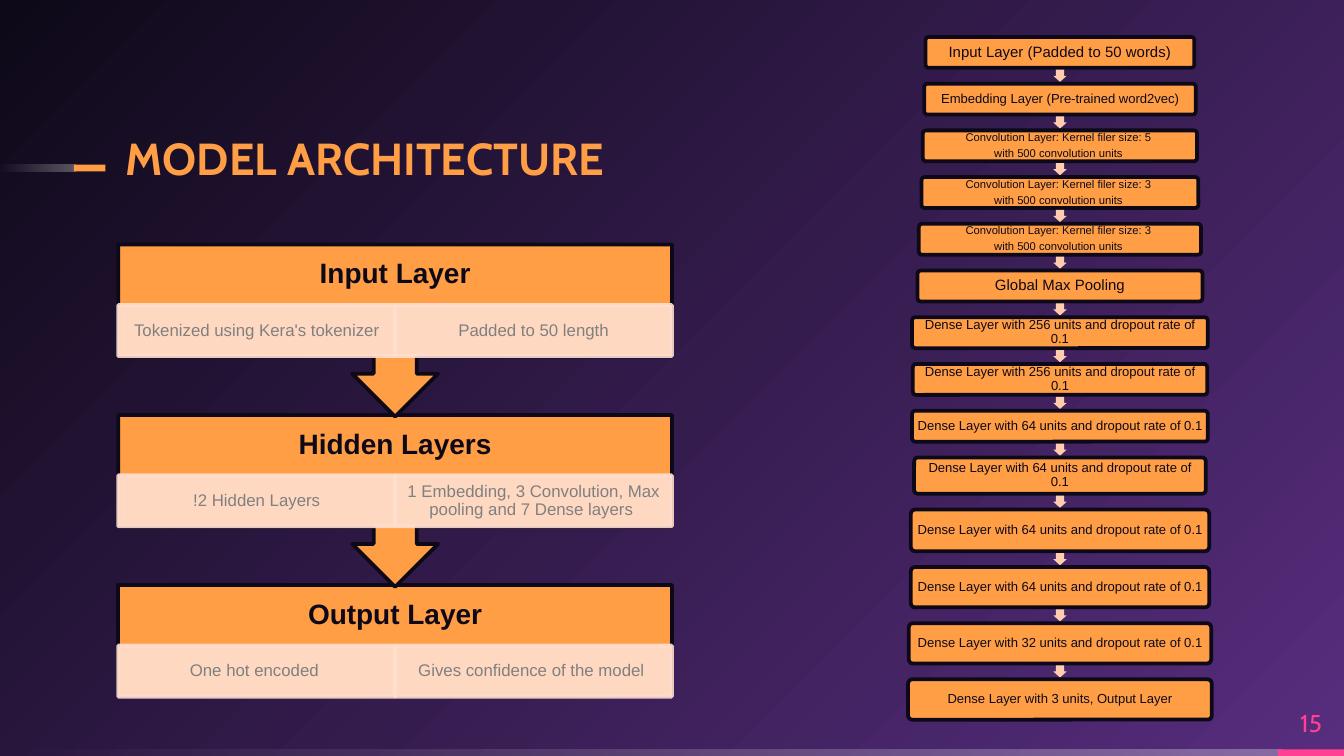
from dataclasses import dataclass
from typing import NamedTuple, Optional

from lxml.etree import SubElement
from pptx import Presentation
from pptx.dml.color import RGBColor
from pptx.enum.shapes import MSO_SHAPE as Preset
from pptx.enum.text import MSO_ANCHOR as Anchor, PP_ALIGN as Align
from pptx.oxml.ns import qn
from pptx.util import Inches, Pt

COLUMNS, ROWS = 100, 56.25
CELL = Inches(0.1)


@dataclass(frozen=True)
class Theme:
    orange: str = "FF9E44"
    peach: str = "FFCCB0"
    cream: str = "FFDFCF"
    ink: str = "0E0918"
    purple: str = "572D7E"
    pink: str = "FF4093"
    gray: str = "808080"
    white: str = "FFFFFF"
    heading_font: str = "Cabin"
    body_font: str = "Arial"
    title_size: int = 24
    number_size: int = 13
    stage_size: int = 15
    detail_size: int = 9
    large_size: int = 8
    medium_size: int = 7
    small_size: int = 6
    outline: int = 2


THEME = Theme()


class Box(NamedTuple):
    left: float
    top: float
    width: float
    height: float

    def emu(self) -> list[int]:
        return [round(cells * CELL) for cells in self]


class Style(NamedTuple):
    size: int
    color: str
    font: str = THEME.body_font
    bold: bool = False
    align: Align = Align.CENTER
    anchor: Anchor = Anchor.MIDDLE
    inset: tuple[float, float] = (0, 0)
    space_after: float = 0.35


class Stage(NamedTuple):
    name: str
    details: tuple[str, str]
    preset: Preset
    height: float


class Layer(NamedTuple):
    text: str
    size: int
    width: float
    height: float = 2.3


def set_alpha(fill, percent: int) -> None:
    for color in fill.iter(qn("a:srgbClr")):
        SubElement(color, qn("a:alpha")).set("val", str(percent * 1000))


def set_gradient(fill, colors: tuple[str, str]) -> None:
    fill.gradient()
    for stop, color, position in zip(fill.gradient_stops, colors, (0, 1)):
        stop.color.rgb = RGBColor.from_string(color)
        stop.position = position


def write(shape, text: str, style: Style) -> None:
    frame = shape.text_frame
    frame.text = text
    frame.word_wrap = True
    frame.vertical_anchor = style.anchor
    frame.margin_left = frame.margin_right = Inches(style.inset[0])
    frame.margin_top = frame.margin_bottom = Inches(style.inset[1])
    for paragraph in frame.paragraphs:
        paragraph.alignment = style.align
        paragraph.line_spacing = 0.9
        paragraph.space_after = Pt(style.space_after * style.size)
        for run in paragraph.runs:
            run.font.size = Pt(style.size)
            run.font.name = style.font
            run.font.bold = style.bold
            run.font.color.rgb = RGBColor.from_string(style.color)


def add_label(slide, box: Box, text: str, style: Style) -> None:
    write(slide.shapes.add_textbox(*box.emu()), text, style)


def add_block(slide, preset: Preset, box: Box, fill: str,
              outline: Optional[str] = None, opacity: int = 100):
    block = slide.shapes.add_shape(preset, *box.emu())
    block.shadow.inherit = False
    block.fill.solid()
    block.fill.fore_color.rgb = RGBColor.from_string(fill)
    if outline:
        block.line.color.rgb = RGBColor.from_string(outline)
        block.line.width = Pt(THEME.outline)
    else:
        block.line.fill.background()
    if opacity < 100:
        set_alpha(block.element.spPr, opacity)
    return block


def add_fading_bar(slide, box: Box) -> None:
    bar = add_block(slide, Preset.RECTANGLE, box, THEME.white)
    set_gradient(bar.fill, (THEME.white, THEME.white))
    bar.fill.gradient_angle = 180
    for color, percent in zip(bar.element.spPr.iter(qn("a:gs")), (30, 0)):
        set_alpha(color, percent)


def paint_background(slide) -> None:
    set_gradient(slide.background.fill, (THEME.purple, THEME.ink))
    gradient = next(slide.element.iter(qn("a:gradFill")))
    for direction in gradient.findall(qn("a:lin")):
        gradient.remove(direction)
    glow = SubElement(gradient, qn("a:path"))
    glow.set("path", "circle")
    corner = SubElement(glow, qn("a:fillToRect"))
    corner.set("l", "100000")
    corner.set("t", "100000")


def draw_frame(slide) -> None:
    paint_background(slide)
    accent = Box(95.1, 55.75, 4.9, 0.5)
    add_fading_bar(slide, Box(0, accent.top, 95.4, accent.height))
    add_block(slide, Preset.RECTANGLE, accent, THEME.pink)
    add_fading_bar(slide, Box(0, 12.25, 5.6, 0.5))
    add_block(slide, Preset.RECTANGLE, Box(5.5, 12.25, 2.35, 0.5), THEME.orange)
    add_label(slide, Box(9.36, 9.5, 47.6, 4.3), "MODEL ARCHITECTURE",
              Style(THEME.title_size, THEME.orange, THEME.heading_font, True,
                    Align.LEFT, Anchor.BOTTOM, space_after=0))
    add_label(slide, Box(accent.left, 52, accent.width, 3.8), "15",
              Style(THEME.number_size, THEME.pink, THEME.heading_font, space_after=0))


def draw_stages(slide, stages: list[Stage]) -> None:
    left, top, width, pitch = 8.8, 18.2, 41.2, 12.67
    name_height, detail_height = 4.5, 3.8
    name_style = Style(THEME.stage_size, THEME.ink, bold=True, inset=(0.12, 0.12))
    detail_style = Style(THEME.detail_size, THEME.gray, inset=(0.07, 0.01))
    for index, stage in reversed(list(enumerate(stages))):
        stage_top = top + index * pitch
        body = add_block(slide, stage.preset, Box(left, stage_top, width, stage.height),
                         THEME.orange, THEME.ink)
        if stage.preset == Preset.UP_ARROW_CALLOUT:
            body.rotation = 180
        add_label(slide, Box(left, stage_top, width, name_height), stage.name, name_style)
        for column, detail in enumerate(stage.details):
            half = width / len(stage.details)
            cell = Box(left + column * half, stage_top + name_height, half, detail_height)
            write(add_block(slide, Preset.RECTANGLE, cell, THEME.cream, THEME.cream, 90),
                  detail, detail_style)


def draw_layers(slide, layers: list[Layer]) -> None:
    center, top, bottom = 78.87, 2.75, 53.55
    arrow_length, arrow_breadth = 0.9, 1.0
    gap = (bottom - top - sum(layer.height for layer in layers)) / (len(layers) - 1)
    for index, layer in enumerate(layers):
        if index:
            arrow = add_block(slide, Preset.RIGHT_ARROW,
                              Box(center - arrow_length / 2, top - (gap + arrow_breadth) / 2,
                                  arrow_length, arrow_breadth), THEME.peach)
            arrow.rotation = 90
            arrow.adjustments[0] = 0.6
        block = add_block(slide, Preset.ROUNDED_RECTANGLE,
                          Box(center - layer.width / 2, top, layer.width, layer.height),
                          THEME.orange, THEME.ink)
        block.adjustments[0] = 0.1
        write(block, layer.text, Style(layer.size, THEME.ink, inset=(0.03, 0.03)))
        top += layer.height + gap


def convolution(kernel: int, width: float) -> Layer:
    return Layer(f"Convolution Layer: Kernel filer size: {kernel} \nwith 500 convolution units ",
                 THEME.small_size, width)


def dense(units: int, width: float, height: float = 2.3) -> Layer:
    return Layer(f"Dense Layer with {units} units and dropout rate of 0.1",
                 THEME.medium_size, width, height)


STAGES = [
    Stage("Input Layer", ("Tokenized using Kera's tokenizer", "Padded to 50 length"),
          Preset.UP_ARROW_CALLOUT, 12.8),
    Stage("Hidden Layers",
          ("!2 Hidden Layers", "1 Embedding, 3 Convolution, Max pooling and 7 Dense layers "),
          Preset.UP_ARROW_CALLOUT, 12.8),
    Stage("Output Layer", ("One hot encoded ", "Gives confidence of the model "),
          Preset.RECTANGLE, 8.3),
]
LAYERS = [
    Layer("Input Layer (Padded to 50 words)", THEME.large_size, 20),
    Layer("Embedding Layer (Pre-trained word2vec)", THEME.medium_size, 20.2),
    convolution(5, 20.4), convolution(3, 20.6), convolution(3, 21),
    Layer("Global Max Pooling", THEME.large_size, 21.2),
    dense(256, 22), dense(256, 21.9), dense(64, 22), dense(64, 21.7, 2.7),
    dense(64, 22.2, 3.1), dense(64, 22.2, 3), dense(32, 22.5, 3),
    Layer("Dense Layer with 3 units, Output Layer", THEME.medium_size, 22.6, 3),
]


def main() -> None:
    deck = Presentation()
    deck.slide_width, deck.slide_height = round(COLUMNS * CELL), round(ROWS * CELL)
    slide = deck.slides.add_slide(deck.slide_layouts[6])
    draw_frame(slide)
    draw_layers(slide, LAYERS)
    draw_stages(slide, STAGES)
    deck.save("out.pptx")


if __name__ == "__main__":
    main()
